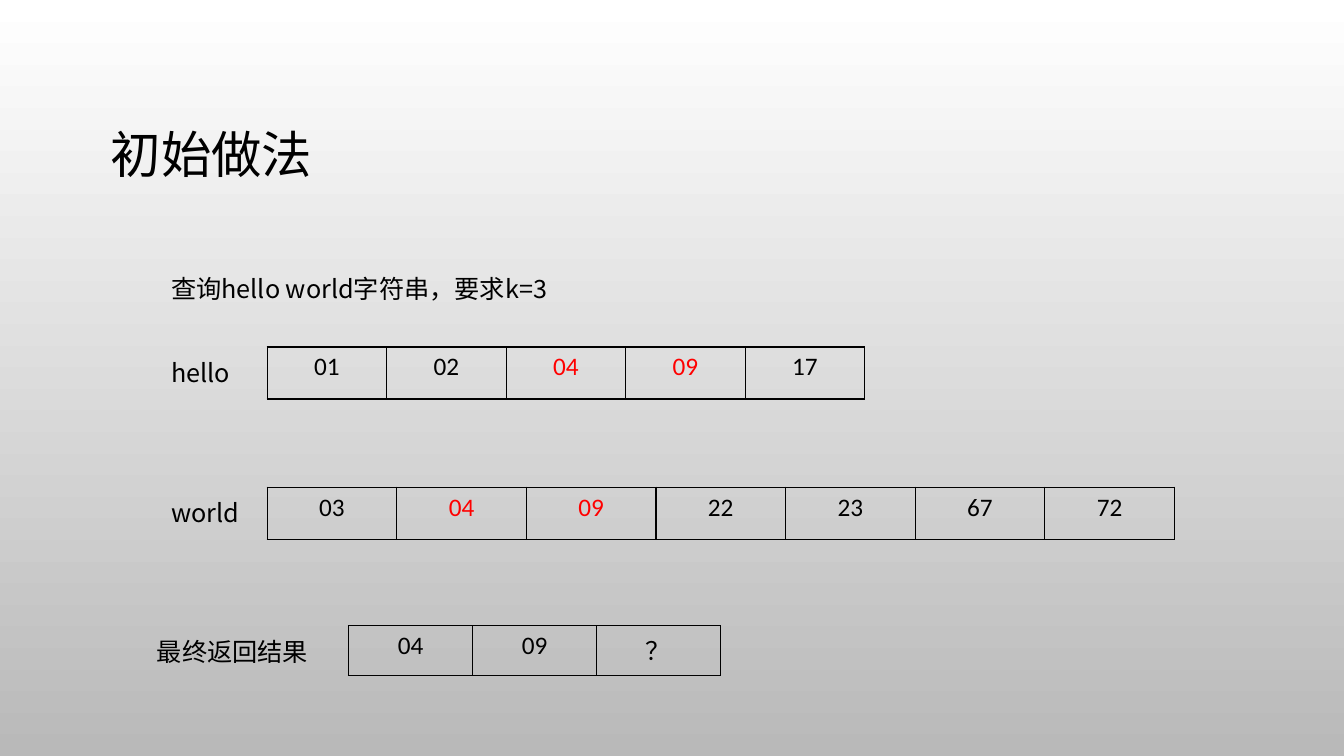
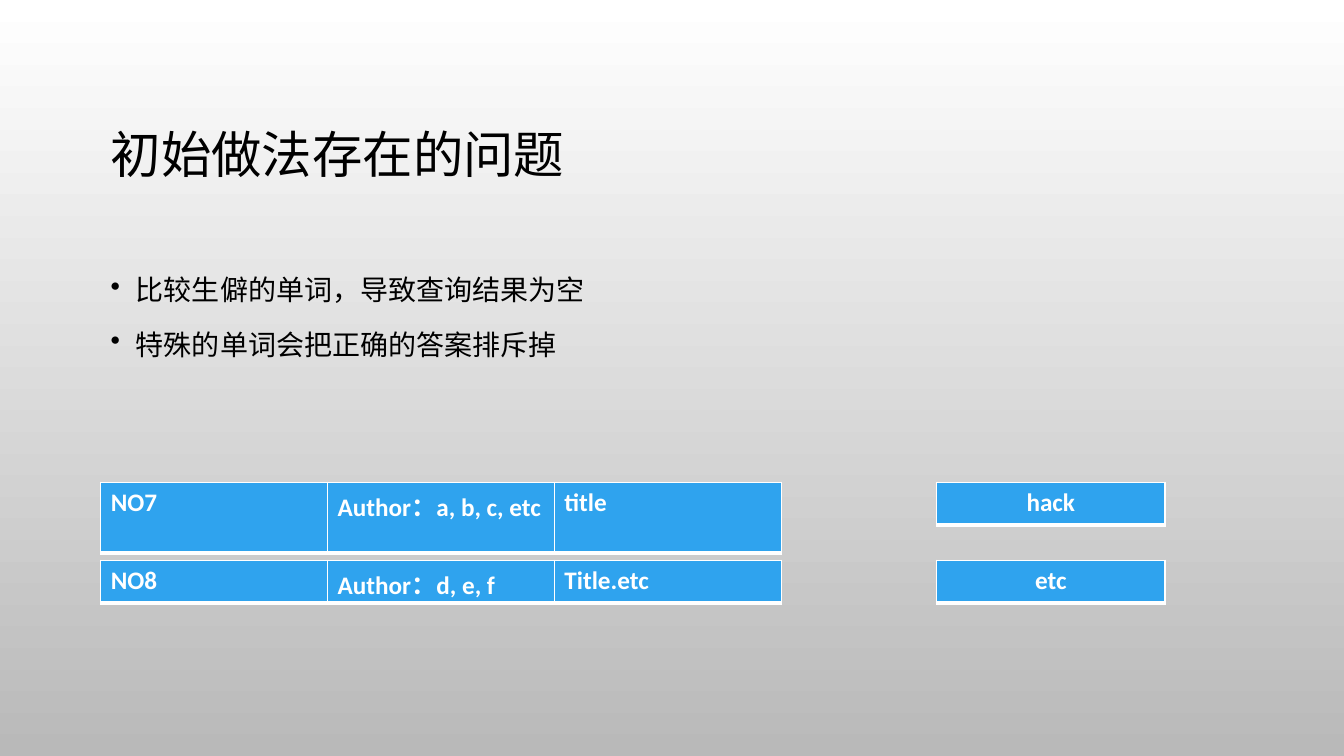
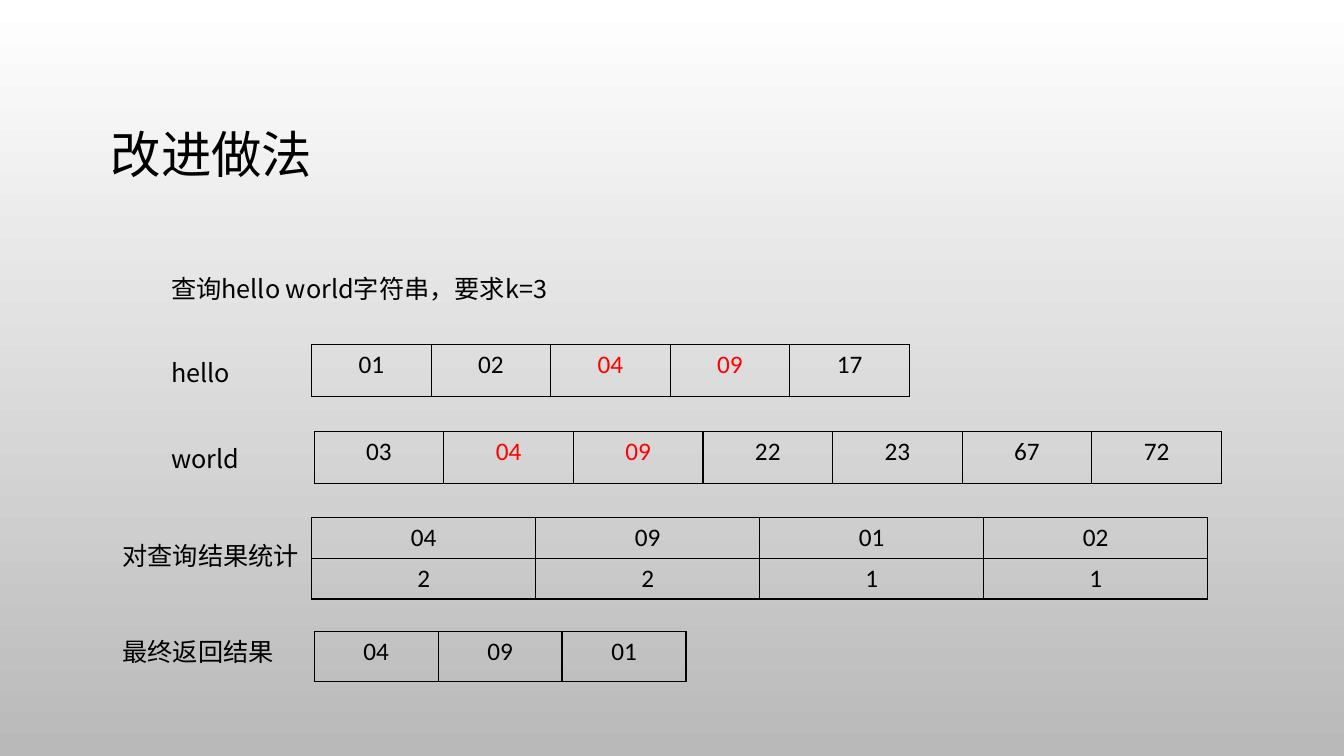
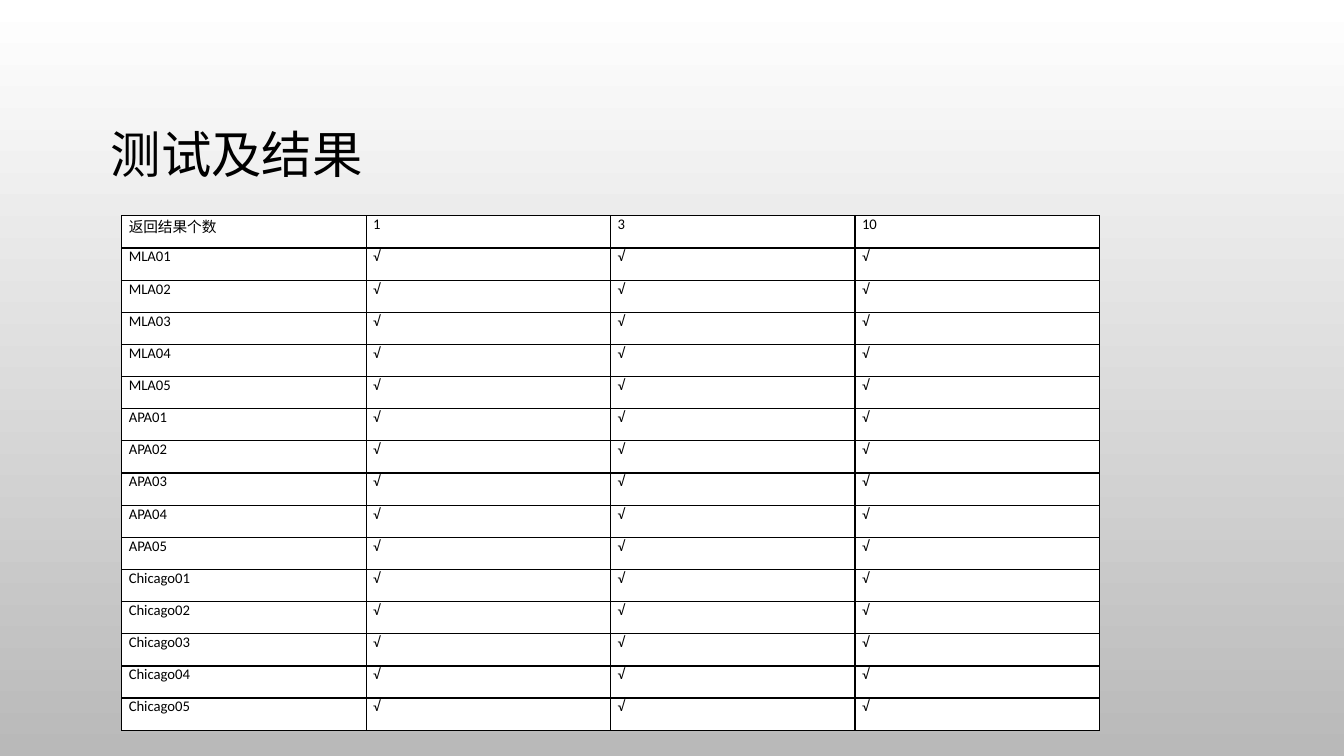
"""Build four slides that compare two keyword query methods."""
from dataclasses import dataclass
from typing import Optional

from lxml import etree
from pptx import Presentation
from pptx import util as u
from pptx.dml.color import RGBColor
from pptx.enum import text
from pptx.oxml.ns import qn

COLUMNS, ROWS = 160, 90
CELL = u.Inches(7.5) / ROWS
BLACK, WHITE, RED, BLUE, GREY = "000000", "FFFFFF", "FF0000", "2FA3EE", "B9B9B9"
LATIN, CHINESE = "Calibri", "Noto Sans CJK SC"
LEFT, CENTER, JUSTIFY = (text.PP_ALIGN.LEFT, text.PP_ALIGN.CENTER,
                         text.PP_ALIGN.JUSTIFY)


@dataclass(frozen=True)
class CellStyle:
    """Look of the cells of a table, with borders in points."""
    size: float = 18
    bold: bool = False
    ink: str = BLACK
    fill: Optional[str] = None
    edge: str = BLACK
    bottom: int = 1
    align: text.PP_ALIGN = CENTER
    inset: tuple[float, float] = (0.1, 0.05)


OUTLINED = CellStyle()
KEYWORD = CellStyle(bold=True, ink=WHITE, fill=BLUE, edge=WHITE, bottom=3)
RECORD = CellStyle(bold=True, ink=WHITE, fill=BLUE, edge=WHITE, bottom=3, align=LEFT)
SHEET = CellStyle(size=10.5, fill=WHITE, align=JUSTIFY, inset=(0.07, 0))


@dataclass(frozen=True)
class Grid:
    """Table placed in grid units, with the values to be marked red."""
    left: float
    top: float
    column: float
    row: float
    lines: list[list[str]]
    style: CellStyle = OUTLINED
    hits: tuple[str, ...] = ()


@dataclass(frozen=True)
class Label:
    """Line of text placed in grid units."""
    words: str
    left: float
    top: float
    width: float
    wrap: bool = False


@dataclass(frozen=True)
class Page:
    """Content of one slide."""
    title: str
    labels: tuple[Label, ...] = ()
    bullets: tuple[str, ...] = ()
    grids: tuple[Grid, ...] = ()


def span(units: float) -> u.Emu:
    """Turn grid units into a length."""
    return u.Emu(round(units * CELL))


def rgb(code: str) -> RGBColor:
    """Turn a hex string into a colour."""
    return RGBColor.from_string(code)


def add_run(paragraph, words: str, size: float, color: str = BLACK,
            font: str = CHINESE, bold: bool = False) -> None:
    """Add one formatted run to a paragraph."""
    run = paragraph.add_run()
    run.text = words
    run.font.size = u.Pt(size)
    run.font.bold = bold
    run.font.color.rgb = rgb(color)
    run.font.name = font
    etree.SubElement(run.font._element, qn("a:ea"), typeface=CHINESE)


def add_frame(slide, left: float, top: float, width: float, height: float,
              wrap: bool = True):
    """Add a text box and return its text frame."""
    frame = slide.shapes.add_textbox(*map(span, (left, top, width, height))).text_frame
    frame.word_wrap = wrap
    return frame


def add_title(slide, words: str) -> None:
    """Add the slide title."""
    frame = add_frame(slide, 12, 8.2, 136, 21)
    frame.vertical_anchor = text.MSO_ANCHOR.MIDDLE
    frame.paragraphs[0].line_spacing = 0.9
    add_run(frame.paragraphs[0], words, 36)


def add_label(slide, label: Label) -> None:
    """Add a label that fits its text."""
    frame = add_frame(slide, label.left, label.top, label.width, 4.8, label.wrap)
    frame.auto_size = text.MSO_AUTO_SIZE.SHAPE_TO_FIT_TEXT
    add_run(frame.paragraphs[0], label.words, 18)


def add_bullets(slide, points: tuple[str, ...]) -> None:
    """Add a bulleted list below the title."""
    frame = add_frame(slide, 12, 31.1, 136, 44.9)
    for index, words in enumerate(points):
        paragraph = frame.add_paragraph() if index else frame.paragraphs[0]
        paragraph.line_spacing = 1.2
        paragraph.space_before = u.Pt(10)
        props = paragraph._p.get_or_add_pPr()
        props.set("marL", str(u.Inches(0.25)))
        props.set("indent", str(-u.Inches(0.25)))
        color = etree.SubElement(props, qn("a:buClr"))
        etree.SubElement(color, qn("a:srgbClr"), val=BLACK)
        etree.SubElement(props, qn("a:buChar"), char="•")
        add_run(paragraph, words, 20)


def style_cell(cell, style: CellStyle) -> None:
    """Set the borders, fill and margins of a cell."""
    props = cell._tc.get_or_add_tcPr()
    for side in "LRTB":
        points = style.bottom if side == "B" else 1
        line = etree.SubElement(props, qn(f"a:ln{side}"), w=str(u.Pt(points)))
        paint = etree.SubElement(line, qn("a:solidFill"))
        etree.SubElement(paint, qn("a:srgbClr"), val=style.edge)
    if style.fill:
        cell.fill.solid()
        cell.fill.fore_color.rgb = rgb(style.fill)
    else:
        cell.fill.background()
    across, down = map(u.Inches, style.inset)
    cell.margin_left = cell.margin_right = across
    cell.margin_top = cell.margin_bottom = down


def add_grid(slide, grid: Grid) -> None:
    """Add a table with equal columns and equal rows."""
    style, rows, columns = grid.style, len(grid.lines), len(grid.lines[0])
    table = slide.shapes.add_table(
        rows, columns, span(grid.left), span(grid.top),
        span(grid.column * columns), span(grid.row * rows)).table
    table.first_row = table.horz_banding = False
    for row, line in enumerate(grid.lines):
        for column, words in enumerate(line):
            cell = table.cell(row, column)
            style_cell(cell, style)
            paragraph = cell.text_frame.paragraphs[0]
            paragraph.alignment = style.align
            ink = RED if words in grid.hits else style.ink
            add_run(paragraph, words, style.size, ink, LATIN, style.bold)


def hello_postings(left: float, top: float) -> Grid:
    """Give the entries found for hello."""
    return Grid(left, top, 14.23, 6.2, [["01", "02", "04", "09", "17"]],
                hits=("04", "09"))


def world_postings(left: float, top: float) -> Grid:
    """Give the entries found for world."""
    return Grid(left, top, 15.43, 6.2,
                [["03", "04", "09", "22", "23", "67", "72"]], hits=("04", "09"))


def answer(left: float, top: float, last: str) -> Grid:
    """Give the entries that are returned."""
    return Grid(left, top, 14.76, 5.9, [["04", "09", last]])


def query_labels(world_top: float, answer_left: float) -> tuple[Label, ...]:
    """Give the labels that both methods share."""
    return (Label("查询hello world字符串，要求k=3", 19.2, 32, 47.5, wrap=True),
            Label("hello", 19.2, 41.9, 9.5),
            Label("world", 19.2, world_top, 10.6),
            Label("最终返回结果", answer_left, 75.2, 24, wrap=True))


TESTS = [f"{kind}{number:02}" for kind in ("MLA", "APA", "Chicago")
         for number in range(1, 6)]

PAGES = (
    Page("初始做法", labels=query_labels(58.6, 17.5),
         grids=(hello_postings(31.8, 41.3), world_postings(31.8, 58),
                answer(41.5, 74.5, "？"))),
    Page("初始做法存在的问题",
         bullets=("比较生僻的单词，导致查询结果为空", "特殊的单词会把正确的答案排斥掉"),
         grids=(Grid(12, 57.4, 27, 5.1, [["NO7", "Author：a, b, c, etc", "title"]], RECORD),
                Grid(12, 66.7, 27, 5.1, [["NO8", "Author：d, e, f", "Title.etc"]], RECORD),
                Grid(111.5, 57.4, 27.2, 5.1, [["hack"]], KEYWORD),
                Grid(111.5, 66.7, 27.2, 5.1, [["etc"]], KEYWORD))),
    Page("改进做法",
         labels=query_labels(52.2, 13.4) + (Label("对查询结果统计", 13.4, 63.7, 23.7),),
         grids=(hello_postings(37.1, 41), world_postings(37.4, 51.4),
                Grid(37.1, 61.6, 26.67, 4.86,
                     [["04", "09", "01", "02"], ["2", "2", "1", "1"]]),
                answer(37.4, 75.2, "01"))),
    Page("测试及结果",
         grids=(Grid(14.5, 25.7, 29.1, 3.83,
                     [["返回结果个数", "1", "3", "10"]]
                     + [[test] + ["√"] * 3 for test in TESTS], SHEET),)),
)


def shade_master(master) -> None:
    """Give every slide the white to grey background."""
    fill = master.background.fill
    fill.gradient()
    fill.gradient_angle = 270
    for stop, color, position in zip(fill.gradient_stops, (WHITE, GREY), (0, 1)):
        stop.color.rgb = rgb(color)
        stop.position = position


def main() -> None:
    """Build and save the presentation."""
    deck = Presentation()
    deck.slide_width, deck.slide_height = span(COLUMNS), span(ROWS)
    shade_master(deck.slide_master)
    for page in PAGES:
        slide = deck.slides.add_slide(deck.slide_layouts[6])
        add_title(slide, page.title)
        for label in page.labels:
            add_label(slide, label)
        if page.bullets:
            add_bullets(slide, page.bullets)
        for grid in page.grids:
            add_grid(slide, grid)
    deck.save("out.pptx")


if __name__ == "__main__":
    main()
